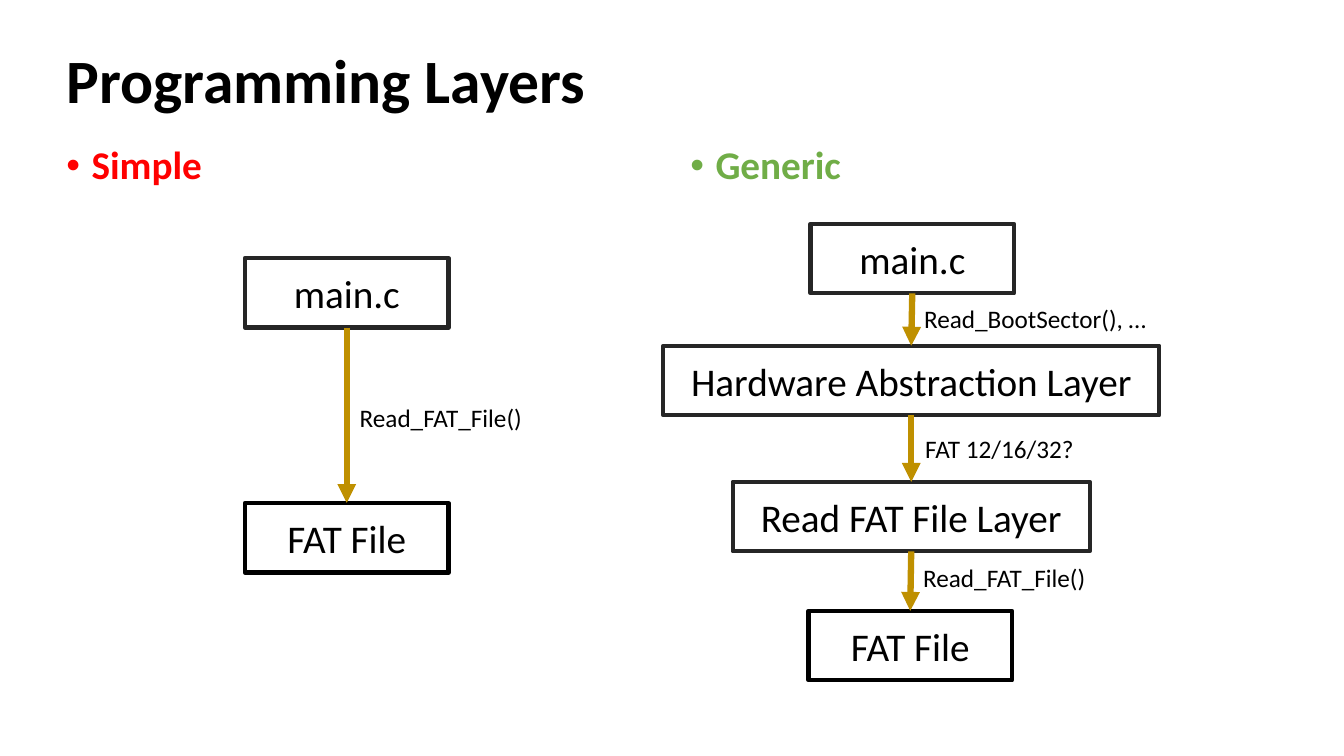
"""Build the slide that compares simple and generic programming layers."""
from dataclasses import dataclass

from lxml import etree
from pptx import Presentation
from pptx.dml.color import RGBColor
from pptx.enum.shapes import MSO_CONNECTOR, MSO_SHAPE
from pptx.enum.text import MSO_ANCHOR, MSO_AUTO_SIZE, PP_ALIGN
from pptx.oxml.ns import qn
from pptx.shapes.autoshape import Shape
from pptx.slide import Slide
from pptx.text.text import _Paragraph
from pptx.util import Inches, Pt

CENTER, MIDDLE = PP_ALIGN.CENTER, MSO_ANCHOR.MIDDLE
GROW = MSO_AUTO_SIZE.SHAPE_TO_FIT_TEXT
RECTANGLE, STRAIGHT = MSO_SHAPE.RECTANGLE, MSO_CONNECTOR.STRAIGHT
TOP_SITE, BOTTOM_SITE = 0, 2

CELL = 0.1
COLUMNS, ROWS = 133.33, 75
LAYER_ROWS, CALL_ROWS = 6.9, 4
FONT = "Calibri"
BLACK, CHARCOAL, GOLD = "000000", "262626", "BF9000"
RED, GREEN = "FF0000", "70AD47"


@dataclass
class Area:
    """A block of grid cells."""
    column: float
    row: float
    columns: float
    rows: float


@dataclass
class Layer:
    """A framed program layer."""
    text: str
    column: float
    row: float
    columns: float = 20.2
    outline: str = CHARCOAL


@dataclass
class Call:
    """The label beside an arrow."""
    text: str
    column: float
    row: float
    columns: float


@dataclass
class Design:
    """One column of the comparison."""
    heading: str
    color: str
    area: Area
    layers: list[Layer]
    calls: list[Call]


DESIGNS = [
    Design("Simple", RED, Area(5.6, 14, 60.2, 53.5),
           [Layer("main.c", 24.3, 25.6),
            Layer("FAT File", 24.3, 49.9, outline=BLACK)],
           [Call("Read_FAT_File()", 34.7, 39.4, 18.1)]),
    Design("Generic", GREEN, Area(67.5, 14, 60.9, 53.5),
           [Layer("main.c", 80.4, 22.2),
            Layer("Hardware Abstraction Layer", 65.8, 34.3, 49.2),
            Layer("Read FAT File Layer", 72.7, 47.8, 35.4),
            Layer("FAT File", 80.2, 60.6, outline=BLACK)],
           [Call("Read_BootSector(), …", 90.7, 29.6, 24),
            Call("FAT 12/16/32?", 90.8, 42.5, 16.7),
            Call("Read_FAT_File()", 90.6, 55.3, 18.1)]),
]


def cells(count: float) -> int:
    """Convert a number of grid cells to a length."""
    return Inches(count * CELL)


def place(area: Area) -> tuple[int, int, int, int]:
    """Return the left, top, width and height of an area."""
    return (cells(area.column), cells(area.row),
            cells(area.columns), cells(area.rows))


def paint(value: str) -> RGBColor:
    """Convert a hex string to a colour."""
    return RGBColor.from_string(value)


def write(box: Shape, text: str, size: float, color: str = BLACK,
          bold: bool = False) -> _Paragraph:
    """Fill a box with one styled paragraph."""
    para = box.text_frame.paragraphs[0]
    para.text = text
    para.font.name, para.font.size, para.font.bold = FONT, Pt(size), bold
    para.font.color.rgb = paint(color)
    return para


def add_text(page: Slide, area: Area, text: str, size: float,
             color: str = BLACK, bold: bool = False) -> Shape:
    """Add a wrapping text box."""
    box = page.shapes.add_textbox(*place(area))
    box.text_frame.word_wrap = True
    write(box, text, size, color, bold)
    return box


def add_title(page: Slide, text: str) -> None:
    """Add the slide title."""
    box = add_text(page, Area(5.6, 4, 122.8, 8.5), text, 44, bold=True)
    box.text_frame.vertical_anchor = MIDDLE
    box.text_frame.paragraphs[0].line_spacing = 0.9


def add_heading(page: Slide, design: Design) -> None:
    """Add the bulleted heading of a design."""
    box = add_text(page, design.area, design.heading, 28, design.color, True)
    para = box.text_frame.paragraphs[0]
    para.line_spacing, para.space_before = 0.9, Pt(10)
    properties = para._p.get_or_add_pPr()
    properties.set("marL", str(Inches(0.25)))
    properties.set("indent", str(-Inches(0.25)))
    bullet_font = etree.Element(qn("a:buFont"), typeface="Arial")
    bullet = etree.Element(qn("a:buChar"), char="•")
    defaults = properties.find(qn("a:defRPr"))
    for element in (bullet_font, bullet):
        if defaults is None:
            properties.append(element)
        else:
            defaults.addprevious(element)


def add_layer(page: Slide, layer: Layer) -> Shape:
    """Add the framed box of a layer."""
    area = Area(layer.column, layer.row, layer.columns, LAYER_ROWS)
    box = page.shapes.add_shape(RECTANGLE, *place(area))
    box.shadow.inherit = False
    box.fill.background()
    box.line.color.rgb, box.line.width = paint(layer.outline), Pt(3)
    box.text_frame.vertical_anchor = MIDDLE
    write(box, layer.text, 28).alignment = CENTER
    return box


def add_arrow(page: Slide, upper: Shape, lower: Shape) -> None:
    """Join two layers with a downward arrow."""
    arrow = page.shapes.add_connector(STRAIGHT, 0, 0, 0, 0)
    arrow.begin_connect(upper, BOTTOM_SITE)
    arrow.end_connect(lower, TOP_SITE)
    arrow.line.color.rgb, arrow.line.width = paint(GOLD), Pt(4.5)
    etree.SubElement(arrow.line._get_or_add_ln(), qn("a:tailEnd"),
                     type="triangle")
    etree.SubElement(arrow._element.spPr, qn("a:effectLst"))


def add_call(page: Slide, call: Call) -> None:
    """Add the label of an arrow."""
    area = Area(call.column, call.row, call.columns, CALL_ROWS)
    box = add_text(page, area, call.text, 18)
    box.text_frame.word_wrap = False
    box.text_frame.auto_size = GROW


def add_design(page: Slide, design: Design) -> None:
    """Add a heading with its stack of layers."""
    add_heading(page, design)
    boxes = [add_layer(page, layer) for layer in design.layers]
    for upper, lower in zip(boxes, boxes[1:]):
        add_arrow(page, upper, lower)
    for call in design.calls:
        add_call(page, call)


def main() -> None:
    """Build and save the deck."""
    deck = Presentation()
    deck.slide_width, deck.slide_height = cells(COLUMNS), cells(ROWS)
    page = deck.slides.add_slide(deck.slide_layouts[6])
    add_title(page, "Programming Layers")
    for design in DESIGNS:
        add_design(page, design)
    deck.save("out.pptx")


main()
